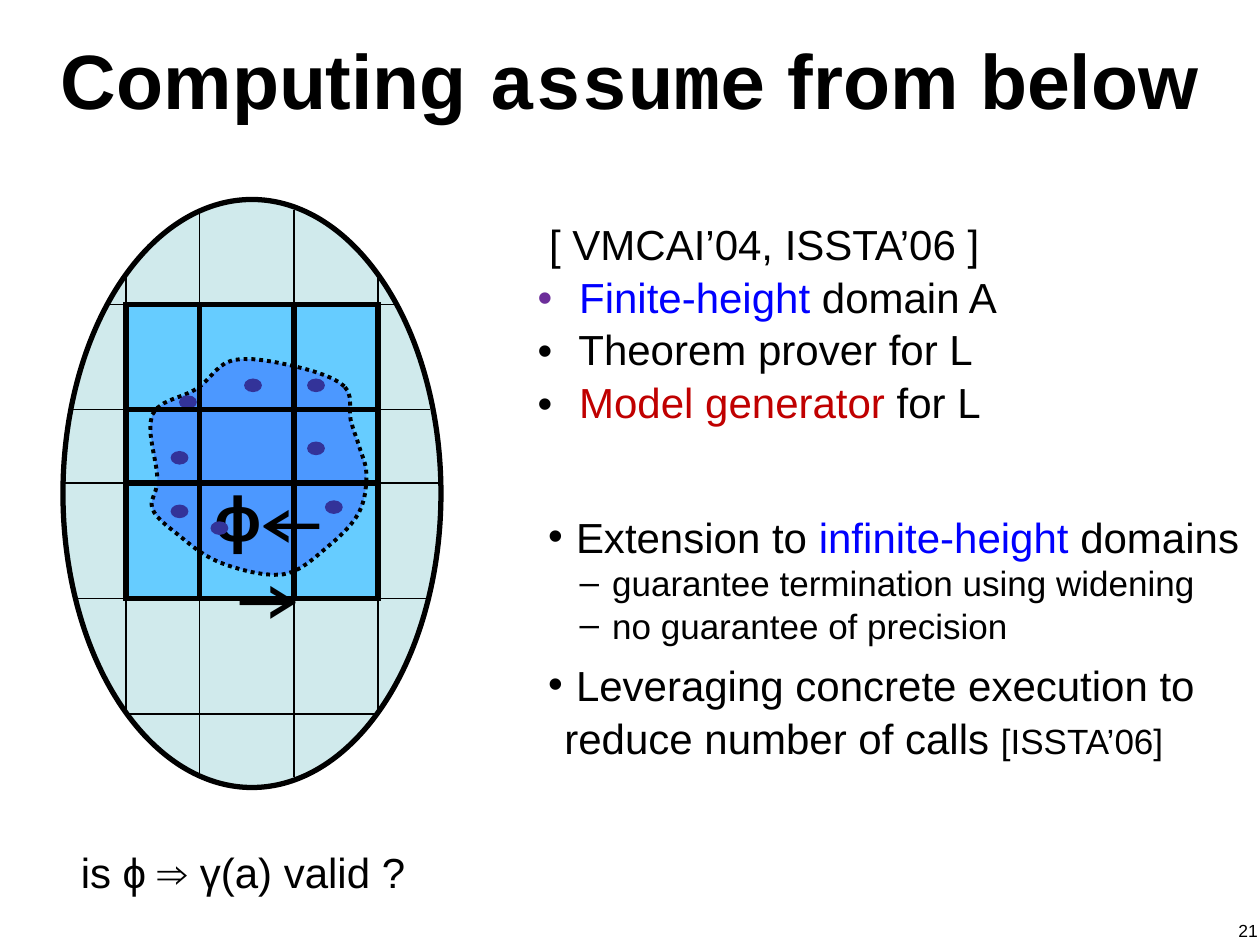
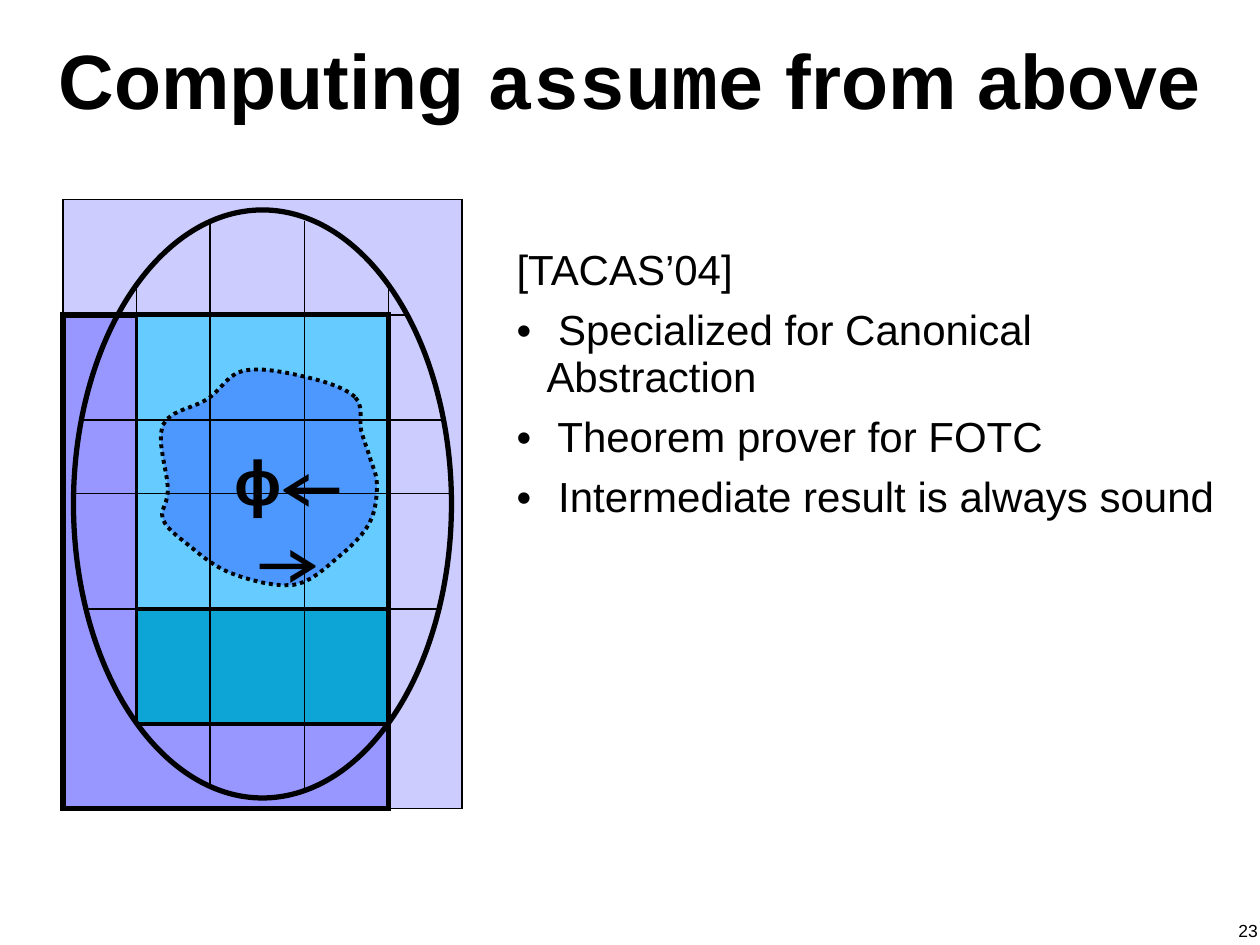
from dataclasses import dataclass
import lxml.etree
import pptx
import pptx.dml.color
import pptx.enum.dml
import pptx.enum.shapes
import pptx.enum.text
import pptx.oxml.ns
import pptx.util

SHAPE = pptx.enum.shapes.MSO_SHAPE
ALIGN = pptx.enum.text.PP_ALIGN
ANCHOR = pptx.enum.text.MSO_ANCHOR
FIT = pptx.enum.text.MSO_AUTO_SIZE

# Theme and grid: 120 columns by 90 rows of square units
@dataclass(frozen=True)
class Theme:
    ink: str = "000000"
    blue: str = "0000FF"
    red: str = "C00000"
    purple: str = "6C2E9A"
    universe: str = "D0EAEC"
    cell: str = "66CCFF"
    refined: str = "0DA5D5"
    coarse: str = "9797FF"
    top: str = "CCCCFF"
    formula: str = "3366FF"
    model: str = "333399"
    sans: str = "Arial"
    mono: str = "Courier New"
    serif: str = "Cambria"
    title_pt: int = 44
    symbol_pt: int = 36
    text_pt: int = 24
    detail_pt: int = 20
    number_pt: int = 10
    heavy: float = 3
    medium: float = 2.25
    thin: float = 1
    hairline: float = 0.75

THEME = Theme()
SLIDE_WIDTH, SLIDE_HEIGHT = pptx.util.Inches(10), pptx.util.Inches(7.5)
UNIT = SLIDE_WIDTH // 120

@dataclass(frozen=True)
class Box:
    left: float
    top: float
    width: float
    height: float

    def emu(self) -> tuple:
        return tuple(units(v) for v in (self.left, self.top, self.width, self.height))

@dataclass(frozen=True)
class Run:
    text: str
    size: int = THEME.text_pt
    color: str = THEME.ink
    font: str = THEME.sans
    bold: bool = False

@dataclass(frozen=True)
class Para:
    runs: list[Run]
    bullet: str = ""
    bullet_color: str = THEME.ink
    margin: float = 0
    hang: float = 0
    level: int = 0
    spacing: float = 1.0
    before: float = 0
    align: ALIGN = ALIGN.LEFT
    rtl: bool = False

# Abstract domain lattice, in grid units
COLUMN_CUTS = [12, 19, 28, 36]
ROW_CUTS = [29, 39, 46, 57, 68]
CENTER_X, CENTER_Y = 24, 47
ROW_HALF_SPANS = [14, 17, 18, 17, 12]
COLUMN_HALF_SPANS = [21, 27, 27, 21]
FORMULA_KNOTS = [
    (32.8, 36.8), (28.1, 34.9), (22.2, 34.3), (18.8, 37), (14.5, 39.5), (15, 45.6), (14.5, 48.4),
    (16.8, 50.8), (21, 53.6), (27, 54.7), (31.3, 52), (34.2, 48.8), (34.9, 45.2), (34.2, 42.5),
    (33.4, 40)]
MODEL_CENTERS = [(17.9, 38.3), (30.1, 42.7), (17.1, 43.6), (31.8, 48.3),
                 (24.1, 36.7), (30.1, 36.7), (17.1, 48.7), (20.9, 50.3)]

def units(value: float) -> int:
    return round(value * UNIT)

def rgb(color: str) -> pptx.dml.color.RGBColor:
    return pptx.dml.color.RGBColor.from_string(color)

def add_xml(parent, tag: str, **attributes: str):
    return lxml.etree.SubElement(parent, pptx.oxml.ns.qn(tag), **attributes)

# Text
def write(frame, paras: list[Para]) -> None:
    for index, para in enumerate(paras):
        line = frame.add_paragraph() if index else frame.paragraphs[0]
        line.level = para.level
        props = line._p.get_or_add_pPr()
        props.set("marL", str(units(para.margin)))
        props.set("indent", str(-units(para.hang)))
        if para.rtl:
            props.set("rtl", "1")
        if para.bullet:
            add_xml(add_xml(props, "a:buClr"), "a:srgbClr", val=para.bullet_color)
            add_xml(props, "a:buFont", typeface=THEME.sans)
            add_xml(props, "a:buChar", char=para.bullet)
        line.alignment = para.align
        line.line_spacing = para.spacing
        line.space_before = pptx.util.Pt(para.before if index else 0)
        for part in para.runs:
            run = line.add_run()
            run.text = part.text
            run.font.size = pptx.util.Pt(part.size)
            run.font.name = part.font
            run.font.bold = part.bold
            run.font.color.rgb = rgb(part.color)

def add_label(slide, box: Box, para: Para, wrap: bool = True, fit: FIT = FIT.NONE):
    frame = slide.shapes.add_textbox(*box.emu()).text_frame
    frame.word_wrap = wrap
    frame.auto_size = fit
    write(frame, [para])
    return frame

def fill_placeholder(holder, box: Box, paras: list[Para], anchor: ANCHOR) -> None:
    holder.left, holder.top, holder.width, holder.height = box.emu()
    holder.text_frame.auto_size = FIT.NONE
    holder.text_frame.vertical_anchor = anchor
    write(holder.text_frame, paras)

def add_text_table(slide, box: Box, paras: list[Para]) -> None:
    table = slide.shapes.add_table(1, 1, *box.emu()).table
    table.first_row = table.horz_banding = False
    cell = table.cell(0, 0)
    props = cell._tc.get_or_add_tcPr()
    for side in ("a:lnL", "a:lnR", "a:lnT", "a:lnB"):
        add_xml(add_xml(props, side, w="0"), "a:noFill")
    cell.fill.background()
    write(cell.text_frame, paras)

# Shapes
def style(shape, fill: str, line: str, weight: float) -> None:
    shape.shadow.inherit = False
    for paint, color in ((shape.fill, fill), (shape.line.fill, line)):
        if color:
            paint.solid()
            paint.fore_color.rgb = rgb(color)
        else:
            paint.background()
    if line:
        shape.line.width = pptx.util.Pt(weight)
        add_xml(shape._element.spPr.get_or_add_ln(), "a:miter", lim="800000")

def add_area(slide, kind: SHAPE, box: Box, fill: str = "", line: str = THEME.ink,
             weight: float = THEME.heavy) -> None:
    style(slide.shapes.add_shape(kind, *box.emu()), fill, line, weight)

def add_formula_region(slide, shift: int, steps: int = 6) -> None:
    """Draw a closed Catmull-Rom curve through the knots."""
    points = []
    count = len(FORMULA_KNOTS)
    for i in range(count):
        near = [FORMULA_KNOTS[(i + k) % count] for k in (-1, 0, 1, 2)]
        for t in (step / steps for step in range(steps)):
            points.append(tuple(
                units(shift + b + ((c - a) * t + (2 * a - 5 * b + 4 * c - d) * t ** 2
                                   + (3 * b - a - 3 * c + d) * t ** 3) / 2)
                for a, b, c, d in zip(*near)))
    builder = slide.shapes.build_freeform(*points[0])
    builder.add_line_segments(points[1:], close=True)
    region = builder.convert_to_shape()
    style(region, THEME.formula, THEME.ink, THEME.medium)
    region.line.dash_style = pptx.enum.dml.MSO_LINE.ROUND_DOT
    color = region._element.spPr.find(".//" + pptx.oxml.ns.qn("a:srgbClr"))
    add_xml(color, "a:alpha", val="50000")

def add_lattice_lines(slide, shift: int) -> None:
    spans = [(CENTER_X - half, y, CENTER_X + half, y) for y, half in zip(ROW_CUTS, ROW_HALF_SPANS)]
    spans += [(x, CENTER_Y - half, x, CENTER_Y + half)
              for x, half in zip(COLUMN_CUTS, COLUMN_HALF_SPANS)]
    for span in spans:
        line = slide.shapes.add_connector(pptx.enum.shapes.MSO_CONNECTOR.STRAIGHT,
                                          *(units(v + shift) for v in span))
        line.line.color.rgb = rgb(THEME.ink)
        line.line.width = pptx.util.Pt(THEME.thin)
        add_xml(line._element.spPr, "a:effectLst")

def add_formula_symbol(slide, left: float, top: float) -> None:
    glyphs = [("←", THEME.serif), ("ϕ", THEME.sans), ("→", THEME.serif)]
    runs = [Run(text, THEME.symbol_pt, font=font, bold=True) for text, font in glyphs]
    add_label(slide, Box(left, top, 15.1, 8.4), Para(runs, align=ALIGN.CENTER, rtl=True),
              fit=FIT.SHAPE_TO_FIT_TEXT)

# Shared title and page number
def start_slide(deck, layout: int, direction: str, number: int):
    slide = deck.slides.add_slide(deck.slide_layouts[layout])
    words = [("Computing ", THEME.sans), ("assume", THEME.mono), (f" from {direction}", THEME.sans)]
    runs = [Run(text, THEME.title_pt, font=font, bold=True) for text, font in words]
    fill_placeholder(slide.shapes.title, Box(3, 0, 114, 15), [Para(runs, align=ALIGN.CENTER)],
                     ANCHOR.MIDDLE)
    page_number = Para([Run(str(number), THEME.number_pt)], align=ALIGN.RIGHT)
    add_label(slide, Box(115, 87, 5, 3), page_number).margin_right = units(0.2)
    return slide

def build_below(deck) -> None:
    slide = start_slide(deck, 1, "below", 21)
    # Domain with its covered cells; the top middle cell gets no second outline
    cells = [Box(x, y, right - x, bottom - y)
             for y, bottom in zip(ROW_CUTS[:3], ROW_CUTS[1:4])
             for x, right in zip(COLUMN_CUTS, COLUMN_CUTS[1:])]
    add_area(slide, SHAPE.OVAL, Box(6, 19, 36, 56), THEME.universe)
    for cell in cells:
        add_area(slide, SHAPE.RECTANGLE, cell, THEME.cell)
    add_formula_region(slide, 0)
    add_lattice_lines(slide, 0)
    add_formula_symbol(slide, 18, 45)
    for x, y in MODEL_CENTERS:
        add_area(slide, SHAPE.OVAL, Box(x - 0.85, y - 0.65, 1.7, 1.3), THEME.model, line="")
    for cell in cells[:1] + cells[2:]:
        add_area(slide, SHAPE.RECTANGLE, cell)
    add_label(slide, Box(6.1, 80, 34.1, 6), Para([Run("is ϕ ⇒ γ(a) valid ?")], align=ALIGN.CENTER),
              wrap=False, fit=FIT.SHAPE_TO_FIT_TEXT)
    # Requirements
    point = dict(bullet="•", margin=2.85, hang=2.85, spacing=0.9, before=6)
    add_text_table(slide, Box(50, 21, 63, 56), [
        Para([Run(" [ VMCAI’04, ISSTA’06 ]")], spacing=0.9),
        Para([Run(" Finite-height", color=THEME.blue), Run(" domain A")],
             bullet_color=THEME.purple, **point),
        Para([Run(" Theorem prover for L")], **point),
        Para([Run(" Model generator ", color=THEME.red), Run("for L")], **point)])
    # Extensions
    main_point = dict(bullet="•", margin=1.55, hang=1.55)
    detail = dict(bullet="–", margin=6.1, hang=3.1, level=1, spacing=0.8, before=5)
    fill_placeholder(slide.placeholders[1], Box(51, 49, 69, 38), [
        Para([Run(" Extension to "), Run("infinite-height", color=THEME.blue), Run(" domains")],
             spacing=0.8, **main_point),
        Para([Run("guarantee termination using widening", THEME.detail_pt)], **detail),
        Para([Run("no guarantee of precision", THEME.detail_pt)], **detail),
        Para([Run(" Leveraging concrete execution to reduce number of calls "),
              Run("[ISSTA’06]", THEME.detail_pt)], spacing=1.05, before=6.2, **main_point),
    ], ANCHOR.TOP)

def build_above(deck) -> None:
    slide = start_slide(deck, 5, "above", 23)
    # Successively tighter approximations
    for box, fill, weight in [(Box(6, 19, 38, 58), THEME.top, THEME.hairline),
                              (Box(6, 30, 31, 47), THEME.coarse, THEME.heavy),
                              (Box(13, 30, 24, 39), THEME.refined, THEME.medium),
                              (Box(13, 30, 24, 28), THEME.cell, THEME.medium)]:
        add_area(slide, SHAPE.RECTANGLE, box, fill, weight=weight)
    add_formula_region(slide, 1)
    add_lattice_lines(slide, 1)
    add_formula_symbol(slide, 19.9, 41.6)
    add_area(slide, SHAPE.OVAL, Box(7, 20, 36, 56))
    # Properties
    points = ["Specialized for Canonical Abstraction", "Theorem prover for FOTC",
              "Intermediate result is always sound"]
    add_text_table(slide, Box(48, 23, 72, 27), [Para([Run("[TACAS’04]")])] + [
        Para([Run(f" {text}")], bullet="•", margin=2.85, hang=2.85, before=7.5) for text in points])

def main() -> None:
    deck = pptx.Presentation()
    deck.slide_width, deck.slide_height = SLIDE_WIDTH, SLIDE_HEIGHT
    build_below(deck)
    build_above(deck)
    deck.save("out.pptx")

if __name__ == "__main__":
    main()
